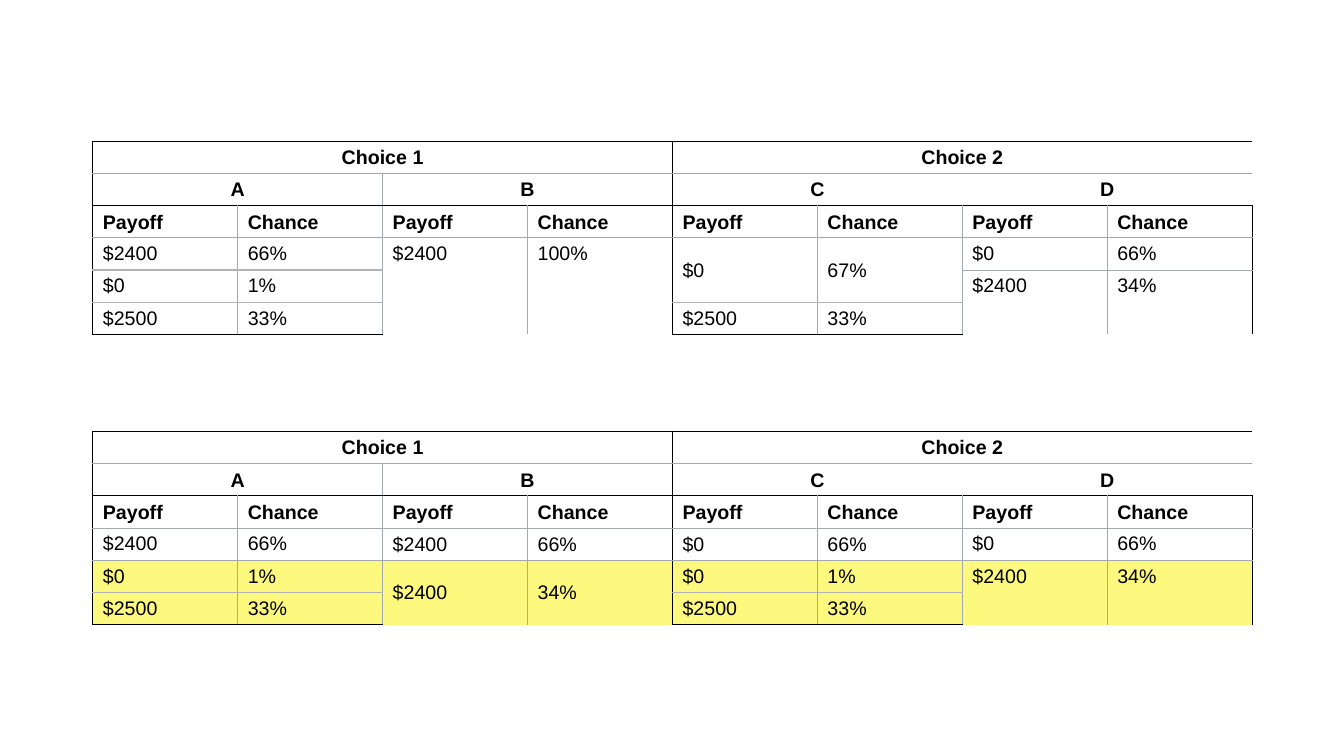
from lxml import etree
from pptx import Presentation
from pptx.dml.color import RGBColor
from pptx.enum import text
from pptx.oxml.ns import qn
from pptx.util import Inches, Pt

BLACK = RGBColor(0x00, 0x00, 0x00)
GREY = RGBColor(0xA2, 0xA9, 0xB1)
LIGHT = RGBColor(0xB2, 0xB2, 0xB2)
YELLOW = RGBColor(0xFC, 0xF9, 0x7E)
NO_STYLE = "{2D5ABB26-0587-4C30-8999-92F81FD0307C}"

# Content: "<" joins the cell to its left, "^" joins the cell above
HEAD = [
    ["Choice 1", "<", "<", "<", "Choice 2", "<", "<", "<"],
    ["A", "<", "B", "<", "C", "<", "D", "<"],
    ["Payoff", "Chance"] * 4,
]
TABLES = [
    dict(top=4.28, top_options="AD", light_rows=(5,), yellow_rows=(4, 5), body=[
        ["$2400", "66%", "$2400", "66%", "$0", "66%", "$0", "66%"],
        ["$0", "1%", "$2400", "34%", "$0", "1%", "$2400", "34%"],
        ["$2500", "33%", "^", "^", "$2500", "33%", "^", "^"],
    ]),
    dict(top=1.4, top_options="ABD", light_rows=(4, 5), yellow_rows=(), body=[
        ["$2400", "66%", "$2400", "100%", "$0", "67%", "$0", "66%"],
        ["$0", "1%", "^", "^", "^", "^", "$2400", "34%"],
        ["$2500", "33%", "^", "^", "$2500", "33%", "^", "^"],
    ]),
]

# Layout
LEFT, WIDTH, ROW_H = 0.92, 11.5, 0.32
ROWS, COLS = 6, 8


def cell_edges(grid, r, c, light_rows):
    """Border colour of each side; None inside a joined cell."""
    def across(y):
        if y < ROWS and y > 0 and grid[y][c] == "^":
            return None
        if y in (0, len(HEAD) - 1, ROWS):
            return BLACK
        return LIGHT if y in light_rows and c // 2 in (0, 2) else GREY

    def down(x):
        if x < COLS and grid[r][x] == "<":
            return None
        return BLACK if x % 4 == 0 else GREY

    return [("L", down(c)), ("R", down(c + 1)),
            ("T", across(r)), ("B", across(r + 1))]


def set_border(cell, side, color):
    ln = etree.SubElement(cell._tc.get_or_add_tcPr(), qn("a:ln" + side))
    if color is None:
        etree.SubElement(ln, qn("a:noFill"))
        return
    ln.set("w", str(Pt(0.75 if color == GREY else 1)))
    fill = etree.SubElement(ln, qn("a:solidFill"))
    etree.SubElement(fill, qn("a:srgbClr"), val=str(color))


def write_cell(cell, words, is_head, centred):
    p = cell.text_frame.paragraphs[0]
    if centred:
        p.alignment = text.PP_ALIGN.CENTER
    r = p.add_run()
    r.text = words
    r.font.name, r.font.size = "Arial", Pt(14)
    r.font.bold, r.font.color.rgb = is_head, BLACK


def add_choices(s, top, top_options, light_rows, yellow_rows, body):
    grid = HEAD + body
    table = s.shapes.add_table(ROWS, COLS, Inches(LEFT), Inches(top),
                               Inches(WIDTH), Inches(ROW_H * ROWS)).table
    table.first_row = table.horz_banding = False
    table._tbl.tblPr.find(qn("a:tableStyleId")).text = NO_STYLE
    for col in table.columns:
        col.width = Inches(WIDTH / COLS)
    for row in table.rows:
        row.height = Inches(ROW_H)

    for r, line in enumerate(grid):
        for c, words in enumerate(line):
            cell = table.cell(r, c)
            cell.margin_top, cell.margin_bottom = Inches(0.05), Inches(0.04)
            is_head = r < len(HEAD)
            at_top = not is_head and "ABCD"[c // 2] in top_options
            cell.vertical_anchor = (text.MSO_ANCHOR.TOP if at_top
                                    else text.MSO_ANCHOR.MIDDLE)
            for side, color in cell_edges(grid, r, c, light_rows):
                set_border(cell, side, color)
            if r in yellow_rows:
                cell.fill.solid()
                cell.fill.fore_color.rgb = YELLOW
            else:
                cell.fill.background()
            if words in "<^":
                continue
            # Join the cell with its markers to the right and below
            last_c, last_r = c, r
            while last_c + 1 < COLS and line[last_c + 1] == "<":
                last_c += 1
            while last_r + 1 < ROWS and grid[last_r + 1][c] == "^":
                last_r += 1
            if (last_r, last_c) != (r, c):
                cell.merge(table.cell(last_r, last_c))
            write_cell(cell, words, is_head, last_c > c)


prs = Presentation()
prs.slide_width, prs.slide_height = Inches(13.33), Inches(7.5)
s = prs.slides.add_slide(prs.slide_layouts[6])
for choices in TABLES:
    add_choices(s, **choices)
prs.save("out.pptx")
